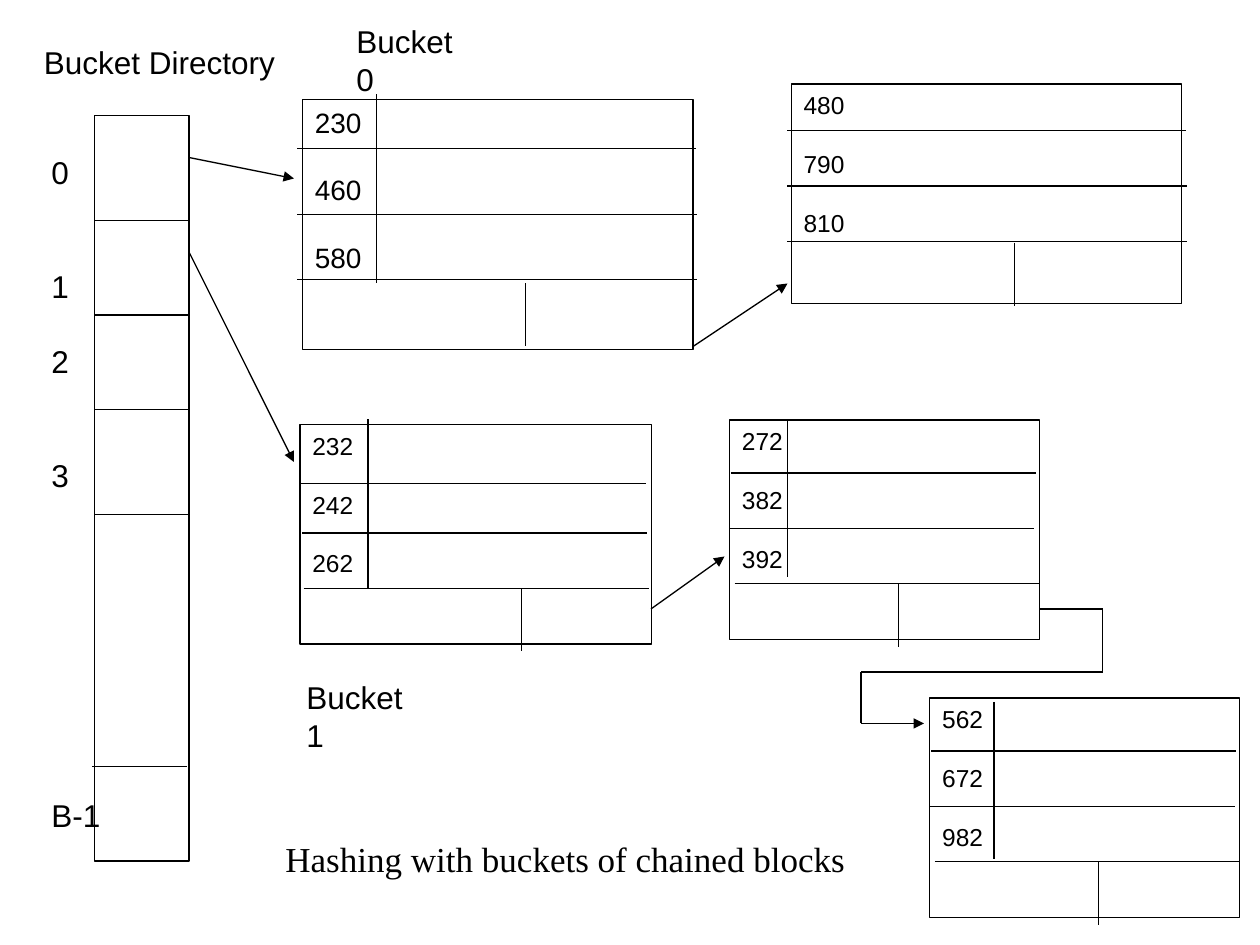
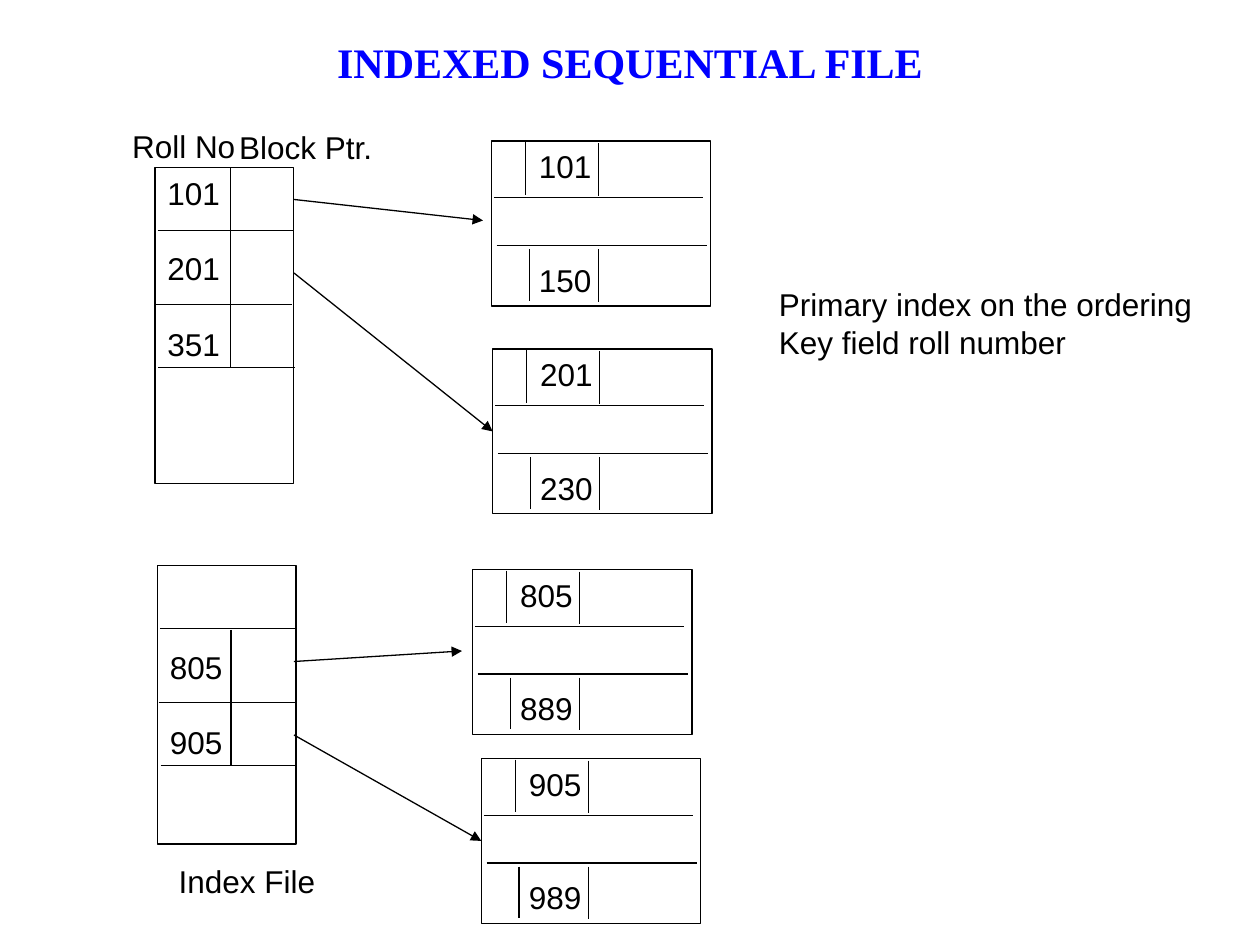
from collections import namedtuple

from lxml import etree
from pptx import Presentation
from pptx.dml.color import RGBColor
from pptx.enum.shapes import MSO_CONNECTOR, MSO_SHAPE
from pptx.enum.text import MSO_ANCHOR, MSO_AUTO_SIZE, PP_ALIGN
from pptx.oxml.ns import qn
from pptx.util import Inches, Pt

STRAIGHT = MSO_CONNECTOR.STRAIGHT
RECTANGLE = MSO_SHAPE.RECTANGLE
TOP, MIDDLE = MSO_ANCHOR.TOP, MSO_ANCHOR.MIDDLE
LEFT, CENTER = PP_ALIGN.LEFT, PP_ALIGN.CENTER
FIT_SHAPE, NO_FIT = MSO_AUTO_SIZE.SHAPE_TO_FIT_TEXT, MSO_AUTO_SIZE.NONE

SLIDE_WIDTH, SLIDE_HEIGHT = Inches(10), Inches(7.5)
COLUMNS, ROWS = 120, 90
TITLE_ONLY, BLANK = 5, 6
LEFT_SIDE = 1
INK, TITLE_BLUE = "000000", "0000FF"
SANS, SERIF = "Arial", "Times New Roman"
LINE_WIDTH = Pt(0.75)
LINE_HEIGHT = 1.2
SIDE_INSET, TOP_INSET = Pt(7.2), 3.6

Box = namedtuple("Box", "left top width height")

WIDE_RULES = [(-0.5, 4.68, 37.5), (-0.5, 10.92, 37.56), (-0.5, 17.16, 37.56)]
PLAIN_RULES = [(-0.4, 4.44, 37.6), (-0.4, 9.72, 37.7), (-0.4, 15, 37.7)]
MIDDLE_RULES = [(0, 5.64, 33), (0.24, 10.32, 33.1), (0.36, 15.6, 33.24)]
NARROW_RULES = [(0.12, 5.04, 29.16), (0, 10.32, 29.04), (0.48, 15.6, 29.52)]
RECORD_RULES = [(0.24, 5.4, 20.16), (0.5, 9.96, 20.5)]
RECORD_DIVIDERS = [(3.24, 0.1, 5.1), (10.2, 0.2, 5.2),
                   (3.6, 10.3, 15.2), (10.2, 10.3, 15.3)]
INDEX_RULES = [(0.24, 6, 13.2), (0.1, 13.05, 13.05), (0.3, 19.05, 13.3)]
DIRECTORY_RULES = [(0, 10, 9), (0, 19, 9), (0, 28, 9), (0, 38, 9), (-0.2, 62, 8.8)]


def color(value):
    """Turn a hex string into a colour."""
    return RGBColor.from_string(value)


def across(columns):
    """Measure a number of grid columns."""
    return round(SLIDE_WIDTH * columns / COLUMNS)


def down(rows):
    """Measure a number of grid rows."""
    return round(SLIDE_HEIGHT * rows / ROWS)


def place(box):
    """Convert a grid box to slide lengths."""
    return across(box.left), down(box.top), across(box.width), down(box.height)


def style_line(line):
    """Give a line the shared ink and width."""
    line.color.rgb = color(INK)
    line.width = LINE_WIDTH


def set_values(target, values):
    """Set attributes from a dict."""
    for name, value in values.items():
        setattr(target, name, value)


def write_lines(frame, lines, size, font=SANS, gaps=(), lead=0, indent=0, **frame_format):
    """Write lines with gaps counted in lines of text."""
    height = LINE_HEIGHT * size
    set_values(frame, {"vertical_anchor": TOP, "margin_left": SIDE_INSET + Pt(indent),
                       "margin_right": SIDE_INSET, "margin_bottom": Pt(TOP_INSET),
                       "margin_top": Pt(TOP_INSET + lead * height), **frame_format})
    for index, text in enumerate(lines):
        para = frame.add_paragraph() if index else frame.paragraphs[0]
        gap = gaps[index - 1] if index and gaps else 0
        set_values(para, {"alignment": LEFT, "line_spacing": Pt(height),
                          "space_before": Pt(gap * height)})
        span = para.add_run()
        span.text = text
        set_values(span.font, {"name": font, "size": Pt(size)})
        span.font.color.rgb = color(INK)


def add_label(page, box, lines, size=18, **options):
    """Add free text at a grid box."""
    label = page.shapes.add_textbox(*place(box))
    write_lines(label.text_frame, lines, size, word_wrap=False, auto_size=FIT_SHAPE, **options)


def add_line(page, start, end, arrow=False, target=None):
    """Draw a line, with an arrowhead or joined to a left side if wanted."""
    line = page.shapes.add_connector(STRAIGHT, across(start[0]), down(start[1]),
                                     across(end[0]), down(end[1]))
    style_line(line.line)
    if arrow:
        etree.SubElement(line.line._get_or_add_ln(), qn("a:tailEnd"), type="triangle")
    etree.SubElement(line._element.spPr, qn("a:effectLst"))
    if target is not None:
        line.end_connect(target, LEFT_SIDE)


def add_block(page, box, rules, dividers=(), values=(), size=18, **options):
    """Draw a ruled block of cells with its values."""
    block = page.shapes.add_shape(RECTANGLE, *place(box))
    block.shadow.inherit = False
    block.fill.background()
    style_line(block.line)
    if values:
        write_lines(block.text_frame, values, size, word_wrap=True, auto_size=NO_FIT, **options)
    for left, row, right in rules:
        add_line(page, (box.left + left, box.top + row), (box.left + right, box.top + row))
    for column, top, bottom in dividers:
        add_line(page, (box.left + column, box.top + top), (box.left + column, box.top + bottom))
    return block


def add_bucket_block(page, box, rules, dividers, values, size=14):
    """Draw one chained block of three keys."""
    add_block(page, box, rules, dividers, values, size, gaps=(1, 1))


def add_record_block(page, left, top, values):
    """Draw one data block with its first and last key."""
    return add_block(page, Box(left, top, 20.9, 15.7), RECORD_RULES, RECORD_DIVIDERS,
                     values, gaps=(2,), indent=20)


def add_directory(page, box):
    """Draw the bucket directory with its numbers and heading."""
    add_block(page, box, DIRECTORY_RULES)
    add_label(page, Box(box.left - 5.28, box.top + 3, 7.1, 66),
              ["0", "1", "2", "3", "B-1"], gaps=(2, 1, 2, 8))
    add_label(page, Box(box.left - 6, box.top - 7.5, 24.4, 4.8), ["Bucket Directory"])


def add_elbow_path(page, points):
    """Draw a path of straight pieces that ends in an arrow."""
    pieces = list(zip(points, points[1:]))
    for index, (start, end) in enumerate(pieces, 1):
        add_line(page, start, end, arrow=index == len(pieces))


def build_hashing(deck):
    """Build the slide on hashing with chained blocks."""
    page = deck.slides.add_slide(deck.slide_layouts[BLANK])
    add_directory(page, Box(9, 11, 9, 71))
    blocks = [
        (Box(28.8, 9.48, 37.2, 23.8), WIDE_RULES,
         [(7.08, -0.5, 17.5), (21.24, 17.5, 23.5)], ["230", "460", "580"], 16),
        (Box(75.36, 8, 37.2, 20.9), PLAIN_RULES,
         [(21.24, 15.1, 21.1)], ["480", "790", "810"]),
        (Box(28.56, 40.44, 33.5, 20.9), MIDDLE_RULES,
         [(6.48, -0.5, 15.6), (21.12, 15.6, 21.6)], ["232", "242", "262"]),
        (Box(69.48, 40, 29.5, 20.9), NARROW_RULES,
         [(5.52, 0, 15), (16.08, 15.6, 21.6)], ["272", "382", "392"]),
        (Box(88.56, 66.48, 29.5, 20.9), NARROW_RULES,
         [(6.12, 0.36, 15.36), (16.08, 15.6, 21.6)], ["562", "672", "982"]),
    ]
    for block in blocks:
        add_bucket_block(page, *block)
    for start, end in [((18, 15), (28, 17)), ((18, 24), (28, 44)),
                       ((66, 33), (75, 27)), ((62, 58), (69, 53))]:
        add_line(page, start, end, arrow=True)
    add_elbow_path(page, [(99, 58), (105, 58), (105, 64), (82, 64), (82, 68.9), (88, 68.9)])
    add_label(page, Box(32.76, 1.5, 14, 4.8), ["Bucket 0"])
    add_label(page, Box(28, 64, 14, 4.8), ["Bucket 1"])
    add_label(page, Box(26, 79.2, 57.2, 5.2), ["Hashing with buckets of chained blocks"],
              size=20, font=SERIF)


def add_title(page, box, text):
    """Place and format the title."""
    title = page.shapes.title
    title.left, title.top, title.width, title.height = place(box)
    title.text_frame.text = text
    title.text_frame.vertical_anchor = MIDDLE
    para = title.text_frame.paragraphs[0]
    para.alignment = CENTER
    font = para.runs[0].font
    set_values(font, {"name": SERIF, "size": Pt(24), "bold": True})
    font.color.rgb = color(TITLE_BLUE)


def add_index_file(page):
    """Draw both parts of the index with their labels."""
    add_block(page, Box(14.76, 15.96, 13.2, 30.1), INDEX_RULES, [(7.2, 0, 19.05)],
              ["101", "201", "351"], gaps=(1, 1))
    add_block(page, Box(15, 53.88, 13.2, 26.5), INDEX_RULES, [(7, 6.1, 19.1)],
              ["805", "905"], gaps=(1,), lead=2)
    add_label(page, Box(11.4, 11.5, 12.2, 4.8), ["Roll No"])
    add_label(page, Box(21.6, 11.6, 15.2, 4.8), ["Block Ptr."])
    add_label(page, Box(15.84, 81.5, 15.4, 4.8), ["Index File"])


def build_indexed_file(deck):
    """Build the slide on the indexed sequential file."""
    page = deck.slides.add_slide(deck.slide_layouts[TITLE_ONLY])
    add_title(page, Box(6, 1.68, 108, 8.4), "INDEXED SEQUENTIAL FILE")
    add_index_file(page)
    add_record_block(page, 46.8, 13.44, ["101", "150"])
    second = add_record_block(page, 46.92, 33.24, ["201", "230"])
    add_record_block(page, 45, 54.24, ["805", "889"])
    fourth = add_record_block(page, 45.84, 72.24, ["905", "989"])
    for start, end, target in [((28, 19), (46, 21), None), ((28, 26), (47, 41), second),
                               ((28, 63), (44, 62), None), ((28, 70), (46, 80), fourth)]:
        add_line(page, start, end, arrow=True, target=target)
    add_label(page, Box(73, 26.6, 41.8, 8.4),
              ["Primary index on the ordering", "Key field roll number"])


def main():
    """Build and save the deck."""
    deck = Presentation()
    deck.slide_width, deck.slide_height = SLIDE_WIDTH, SLIDE_HEIGHT
    build_hashing(deck)
    build_indexed_file(deck)
    deck.save("out.pptx")


if __name__ == "__main__":
    main()
